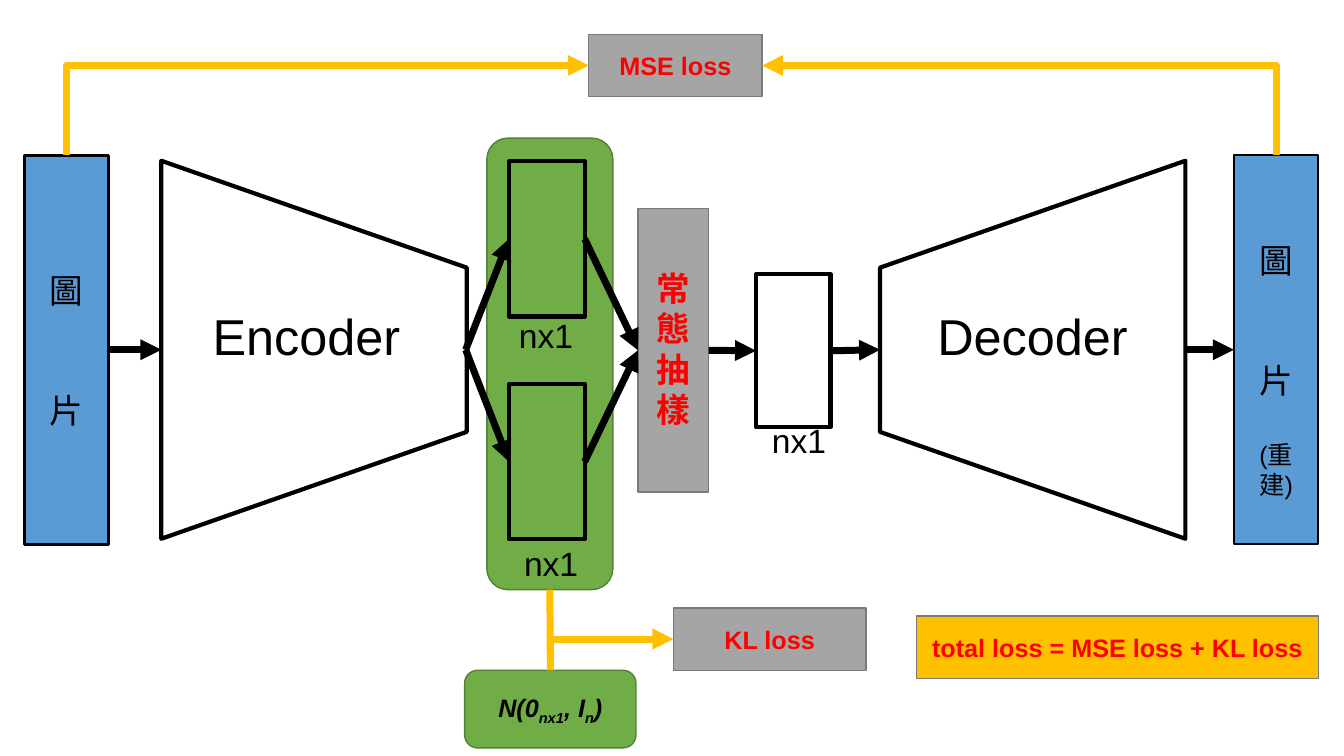
from lxml.etree import SubElement
from pptx import Presentation
from pptx.dml.color import RGBColor
from pptx.enum.shapes import MSO_CONNECTOR, MSO_SHAPE
from pptx.enum.text import MSO_ANCHOR, MSO_AUTO_SIZE, PP_ALIGN
from pptx.oxml.ns import qn
from pptx.util import Inches, Pt

CELL = Inches(0.1)
COLUMNS, ROWS = 133.33, 75
AXIS = 34.7
FONT = "Arial"
BLACK = RGBColor(0x00, 0x00, 0x00)
RED = RGBColor(0xFF, 0x00, 0x00)
BLUE = RGBColor(0x5B, 0x9B, 0xD5)
GREEN = RGBColor(0x70, 0xAD, 0x47)
DARK_GREEN = RGBColor(0x53, 0x80, 0x35)
GRAY = RGBColor(0xA5, 0xA5, 0xA5)
DARK_GRAY = RGBColor(0x7A, 0x7A, 0x7A)
GOLD = RGBColor(0xFF, 0xC0, 0x00)

RECT, ROUND = MSO_SHAPE.RECTANGLE, MSO_SHAPE.ROUNDED_RECTANGLE
TOP, LEFT, BOTTOM, RIGHT = range(4)

NODES = {
    "latent": (ROUND, 48.3, 13.7, 12.5, 44.8, GREEN, DARK_GREEN, 1),
    "mean": (RECT, 50.5, 16, 7.5, 15.4, None, BLACK, 3),
    "deviation": (RECT, 50.5, 38.1, 7.5, 15.4, None, BLACK, 3),
    "sampling": (RECT, 63.3, AXIS - 14, 7, 28.1, GRAY, DARK_GRAY, 1),
    "code": (RECT, 75, 27.2, 7.4, 15.2, None, BLACK, 3),
    "output": (RECT, 122.4, 15.4, 8.4, 38.6, BLUE, BLACK, 1.5),
    "input": (RECT, 2.4, 15.4, 8.4, 38.6, BLUE, BLACK, 2.25),
    "mse": (RECT, 58.4, 3.4, 17.2, 6.2, GRAY, DARK_GRAY, 1),
    "prior": (ROUND, 46.1, 66.5, 17, 7.7, GREEN, DARK_GREEN, 1),
    "kl": (RECT, 66.8, 60.3, 19.1, 6.2, GRAY, DARK_GRAY, 1),
    "total": (RECT, 90.9, 61.1, 39.9, 6.2, GOLD, DARK_GRAY, 1),
}
TRAPEZOIDS = [(31.15, 90), (102.45, 270)]
TRAPEZOID_SIZE = (37.5, 30.3)
LOSSES = {"mse": "MSE loss", "kl": "KL loss", "total": "total loss = MSE loss + KL loss"}
PICTURES = {
    "input": [("圖", 24, 0), ("片", 24, 57)],
    "output": [("圖", 24, 0), ("片", 24, 57), ("(重建)", 18, 28)],
}
PRIOR = [("N(0", False), ("nx1", True), (", I", False), ("n", True), (")", False)]
LABELS = [
    ("Encoder", 20.1, 29.8, 21.5, 7.1, 36, BLACK, False),
    ("Decoder", 92, 29.8, 22.3, 7.1, 36, BLACK, False),
    ("常\n態\n抽\n樣", 64.1, 26.1, 5.4, 17.2, 24, RED, True),
    ("nx1", 50.5, 30.8, 7.5, 5, 24, BLACK, False),
    ("nx1", 51, 53.4, 7.5, 5, 24, BLACK, False),
    ("nx1", 75.6, 41.2, 7.5, 5, 24, BLACK, False),
]
ARROWS = [
    ((46.2, AXIS), ("mean", LEFT)),
    ((46.2, AXIS), ("deviation", LEFT)),
    (("mean", RIGHT), ("sampling", LEFT)),
    (("deviation", RIGHT), ("sampling", LEFT)),
    (("sampling", RIGHT), ("code", LEFT)),
    (("code", RIGHT), (87.3, AXIS)),
    ((117.5, AXIS), ("output", LEFT)),
    (("input", RIGHT), (16, AXIS)),
]
ELBOWS = [("input", "mse", LEFT), ("output", "mse", RIGHT), ("prior", "kl", LEFT)]


def grid(*cells):
    return [round(cell * CELL) for cell in cells]


def style_shape(shape, fill, line, weight):
    shape.shadow.inherit = False
    if fill is None:
        shape.fill.background()
    else:
        shape.fill.solid()
        shape.fill.fore_color.rgb = fill
    shape.line.color.rgb = line
    shape.line.width = Pt(weight)


def style_font(font, size, color, bold=False, italic=False):
    font.name, font.size, font.bold, font.italic = FONT, Pt(size), bold, italic
    font.color.rgb = color


def add_line(page, kind, start, end, color, arrow=True):
    points = [point if not isinstance(point[0], str) else (0, 0) for point in (start, end)]
    line = page.shapes.add_connector(kind, *grid(*points[0], *points[1]))
    if isinstance(start[0], str):
        line.begin_connect(nodes[start[0]], start[1])
    if isinstance(end[0], str):
        line.end_connect(nodes[end[0]], end[1])
    line.line.color.rgb = color
    line.line.width = Pt(5)
    if arrow:
        SubElement(line.line._get_or_add_ln(), qn("a:tailEnd"), type="triangle")
    SubElement(line._element.spPr, qn("a:effectLst"))
    return line


def add_elbow(page, source, target, side):
    line = add_line(page, MSO_CONNECTOR.ELBOW, (source, TOP), (target, side), GOLD)
    across, up = line.width, line.height
    center_x, center_y = line.left + across // 2, line.top + up // 2
    line.left, line.top = center_x - up // 2, center_y - across // 2
    line.width, line.height = up, across
    frame = line._element.spPr.find(qn("a:xfrm"))
    frame.set("rot", str((90 if side == LEFT else 270) * 60000))
    frame.set("flipH", "1" if side == LEFT else "0")
    frame.set("flipV", "1")
    line._element.spPr.find(qn("a:prstGeom")).set("prst", "bentConnector2")


deck = Presentation()
deck.slide_width, deck.slide_height = grid(COLUMNS, ROWS)
page = deck.slides.add_slide(deck.slide_layouts[6])

nodes = {}
for name, (kind, left, top, width, height, *look) in NODES.items():
    nodes[name] = page.shapes.add_shape(kind, *grid(left, top, width, height))
    style_shape(nodes[name], *look)

for center, turn in TRAPEZOIDS:
    width, height = TRAPEZOID_SIZE
    box = grid(center - width / 2, AXIS - height / 2, width, height)
    trapezoid = page.shapes.add_shape(MSO_SHAPE.TRAPEZOID, *box)
    trapezoid.adjustments[0] = 0.35
    trapezoid.rotation = turn
    style_shape(trapezoid, None, BLACK, 3)

for name, text in LOSSES.items():
    para = nodes[name].text_frame.paragraphs[0]
    para.text = text
    para.alignment = PP_ALIGN.CENTER
    style_font(para.runs[0].font, 18, RED, True)

for name, lines in PICTURES.items():
    frame = nodes[name].text_frame
    frame.vertical_anchor = MSO_ANCHOR.MIDDLE
    frame.text = "\n".join(text for text, size, gap in lines)
    for para, (text, size, gap) in zip(frame.paragraphs, lines):
        para.alignment = PP_ALIGN.CENTER
        if gap:
            para.space_before = Pt(gap)
        style_font(para.runs[0].font, size, BLACK)
nodes["output"].text_frame.margin_top = Inches(0.45)

para = nodes["prior"].text_frame.paragraphs[0]
para.alignment = PP_ALIGN.CENTER
for text, lowered in PRIOR:
    span = para.add_run()
    span.text = text
    style_font(span.font, 18, BLACK, True, True)
    if lowered:
        span.font._element.set("baseline", "-25000")

for text, left, top, width, height, size, color, bold in LABELS:
    frame = page.shapes.add_textbox(*grid(left, top, width, height)).text_frame
    frame.word_wrap = False
    frame.auto_size = MSO_AUTO_SIZE.SHAPE_TO_FIT_TEXT
    frame.text = text
    for para in frame.paragraphs:
        style_font(para.runs[0].font, size, color, bold)

for start, end in ARROWS:
    add_line(page, MSO_CONNECTOR.STRAIGHT, start, end, BLACK)
for source, target, side in ELBOWS:
    add_elbow(page, source, target, side)
add_line(page, MSO_CONNECTOR.STRAIGHT, ("latent", BOTTOM), ("prior", TOP), GOLD, arrow=False)

deck.save("out.pptx")
